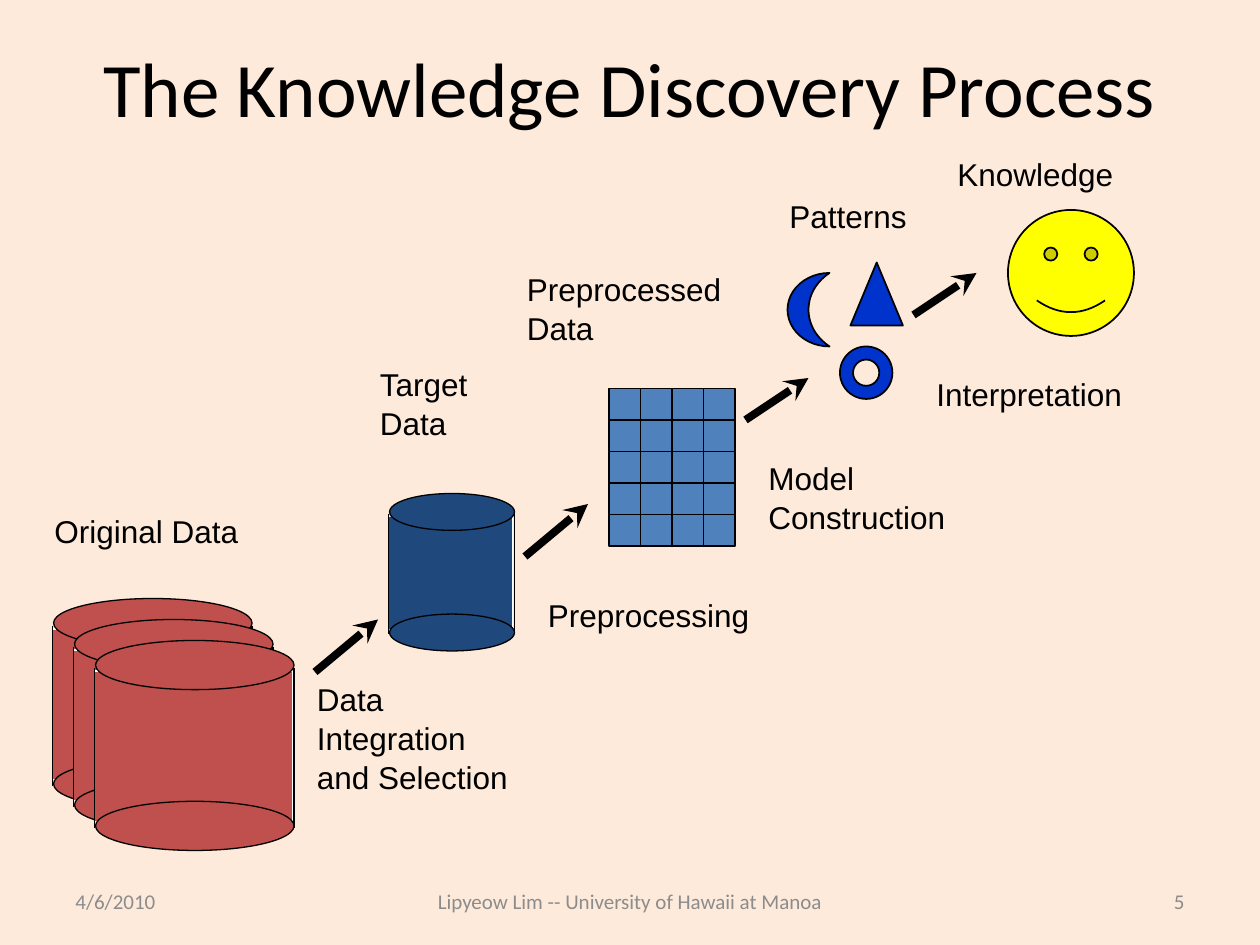
from pptx import Presentation
from pptx.dml.color import RGBColor as RGB
from pptx.enum.shapes import MSO_CONNECTOR as CONN, MSO_SHAPE as SHAPE
from pptx.enum.text import MSO_ANCHOR as ANCHOR, PP_ALIGN as ALIGN
from pptx.oxml.ns import qn
from pptx.util import Inches, Pt
from lxml.etree import SubElement

COLORS = {"bg": "FDEADA", "black": "000000", "white": "FFFFFF", "grey": "8C8C8C",
          "red": "C0504D", "navy": "1F497D", "sky": "4F81BD", "blue": "0033CC",
          "yellow": "FFFF00"}


class Diagram:
    """Draw diagram elements on a slide divided into 120 columns and 90 rows."""

    def __init__(self, prs):
        self.s = prs.slides.add_slide(prs.slide_layouts[6])
        self.col, self.row = prs.slide_width / 120, prs.slide_height / 90
        fill = self.s.background.fill
        fill.solid()
        fill.fore_color.rgb = self.color("bg")

    def color(self, name):
        return RGB.from_string(COLORS[name])

    def pos(self, x, y):
        return round(x * self.col), round(y * self.row)

    def text(self, text, x, y, w, h, size, font="Calibri", color="black",
             align=ALIGN.LEFT, anchor=ANCHOR.MIDDLE, spacing=None):
        tf = self.s.shapes.add_textbox(*self.pos(x, y), *self.pos(w, h)).text_frame
        tf.word_wrap = True
        tf.vertical_anchor = anchor
        p = tf.paragraphs[0]
        p.text, p.alignment, p.line_spacing = text, align, spacing
        p.font.name, p.font.size = font, Pt(size)
        p.font.color.rgb = self.color(color)

    def label(self, text, x, y, w):
        lines = text.count("\n") + 1
        self.text(text, x, y, w, 1.2 + 4.8 * lines, 18, "Arial",
                  anchor=ANCHOR.TOP, spacing=1.04)

    def shape(self, kind, x, y, w, h, fill, line="black", weight=1):
        sp = self.s.shapes.add_shape(kind, *self.pos(x, y), *self.pos(w, h))
        sp.shadow.inherit = False
        sp.fill.solid()
        sp.fill.fore_color.rgb = self.color(fill)
        sp.line.color.rgb = self.color(line)
        sp.line.width = Pt(weight)
        return sp

    def line(self, x1, y1, x2, y2, weight=1):
        cn = self.s.shapes.add_connector(CONN.STRAIGHT, *self.pos(x1, y1), *self.pos(x2, y2))
        cn.line.color.rgb = self.color("black")
        cn.line.width = Pt(weight)
        SubElement(cn._element.spPr, qn("a:effectLst"))
        return cn

    def arrow(self, *ends):
        cn = self.line(*ends, weight=4.5)
        SubElement(cn.line._get_or_add_ln(), qn("a:tailEnd"), type="stealth")

    def cylinder(self, x, y, w, h, fill):
        self.shape(SHAPE.RECTANGLE, x, y + 0.145 * h, w - 0.15, 0.72 * h, fill, "white", 0.75)
        for side in (x, x + w):
            self.line(side, y + 0.13 * h, side, y + 0.895 * h, 0.75)
        for top in (y, y + 0.766 * h):
            self.shape(SHAPE.OVAL, x + 0.1, top, w - 0.1, 0.234 * h, fill, weight=0.75)

    def grid(self, x, y, cell, cols, rows, fill):
        w, h = cols * cell, rows * cell
        box = self.shape(SHAPE.RECTANGLE, x, y, w, h, fill)
        for i in range(1, rows):
            self.line(x, y + i * cell, x + w, y + i * cell)
        for i in range(1, cols):
            cn = self.line(x + i * cell, y, x + i * cell, y + h)
            if 2 * i == cols:
                cn.begin_connect(box, 0)
                cn.end_connect(box, 2)


def main():
    prs = Presentation()
    prs.slide_width, prs.slide_height = Inches(10), Inches(7.5)
    d = Diagram(prs)

    d.text("The Knowledge Discovery Process", 6, 3.6, 108, 9.4, 44, align=ALIGN.CENTER)
    for text, x, w, align in (
            ("4/6/2010", 6, 28, ALIGN.LEFT),
            ("Lipyeow Lim -- University of Hawaii at Manoa", 36, 48, ALIGN.CENTER),
            ("5", 86, 28, ALIGN.RIGHT)):
        d.text(text, x, 83.4, w, 4.8, 12, color="grey", align=align)

    for i in range(3):
        d.cylinder(5 + 2 * i, 57 + 2 * i, 19, 20, "red")
    d.cylinder(37, 47, 12, 15, "navy")
    d.grid(58, 37, 3, 4, 5, "sky")

    d.shape(SHAPE.MOON, 75, 26, 4, 7, "blue")
    d.shape(SHAPE.ISOSCELES_TRIANGLE, 81, 25, 5, 6, "blue")
    d.shape(SHAPE.DONUT, 80, 33, 5, 5, "blue")
    d.shape(SHAPE.SMILEY_FACE, 96, 20, 12, 12, "yellow")

    for ends in ((30, 64, 36, 59), (50, 53, 56, 48), (71, 40, 77, 36), (87, 30, 93, 26)):
        d.arrow(*ends)

    for text, x, y, w in (
            ("Original Data", 4, 48, 27),
            ("Target\nData", 35, 34, 14),
            ("Preprocessed\nData", 49, 25, 26),
            ("Patterns", 74, 18, 17),
            ("Data\nIntegration\nand Selection", 29, 64, 26),
            ("Preprocessing", 51, 56, 27),
            ("Model\nConstruction", 72, 43, 26),
            ("Interpretation", 88, 35, 27),
            ("Knowledge", 90, 14, 23)):
        d.label(text, x, y, w)

    prs.save("out.pptx")


if __name__ == "__main__":
    main()
